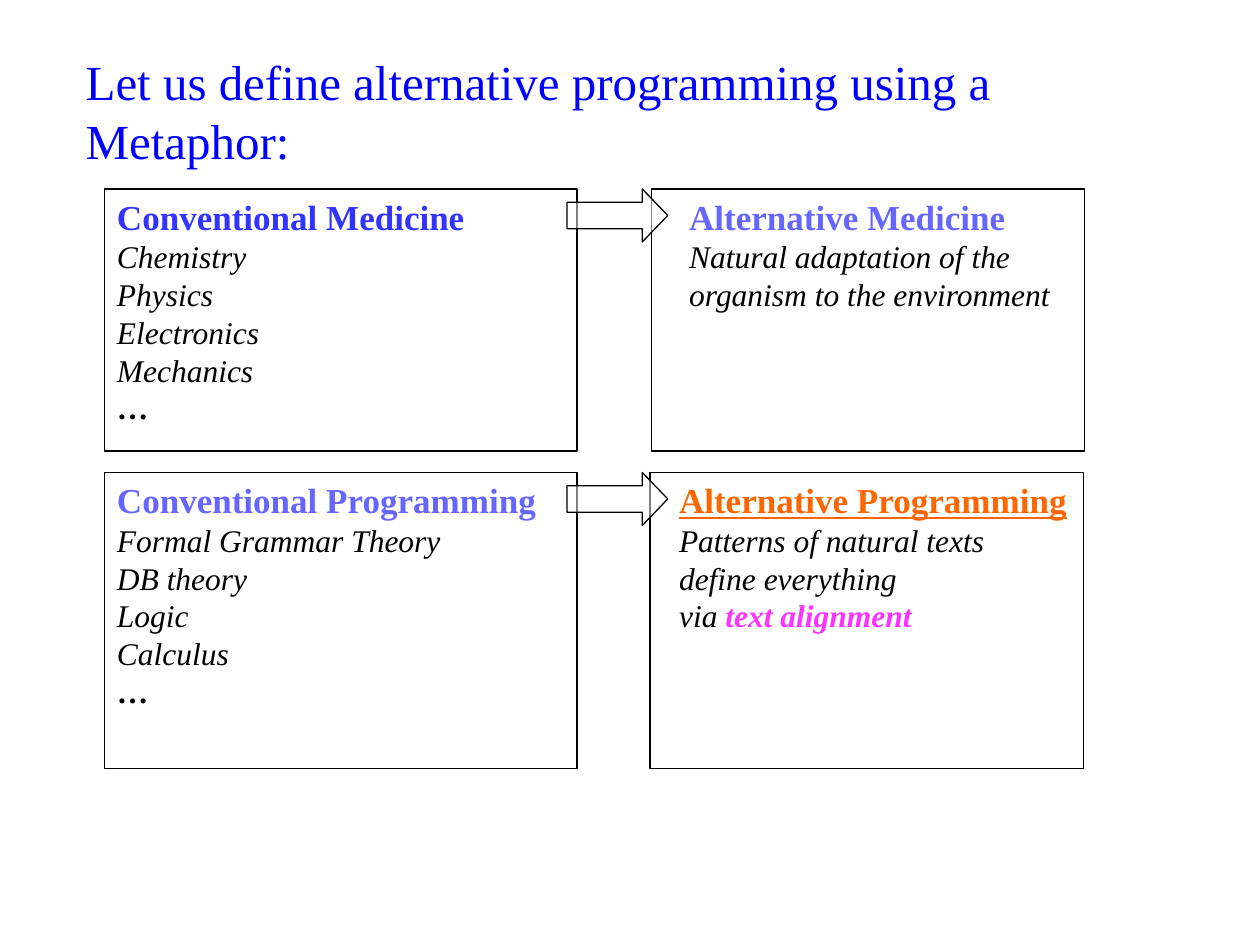
from lxml import etree
from pptx import Presentation
from pptx.dml.color import RGBColor
from pptx.enum.shapes import MSO_SHAPE
from pptx.enum.text import MSO_ANCHOR, MSO_AUTO_SIZE, PP_ALIGN
from pptx.oxml.ns import qn
from pptx.util import Inches, Pt

RECTANGLE, ARROW = MSO_SHAPE.RECTANGLE, MSO_SHAPE.RIGHT_ARROW
TOP, LEFT, NO_FIT = MSO_ANCHOR.TOP, PP_ALIGN.LEFT, MSO_AUTO_SIZE.NONE
FONT = "Times New Roman"
COLORS = {
    "title": "0000FF", "medicine": "3333FF", "violet": "6666FF",
    "orange": "FF6600", "pink": "FF33FF", "black": "000000", "white": "FFFFFF",
}
TITLE = "Let us define alternative programming using a Metaphor:"
BODY = {"size": 18, "italic": True}
ELLIPSIS = [("…", {"size": 18, "bold": True})]


def heading(text, color, underline=False):
    return [(text, {"size": 20, "bold": True, "color": color, "underline": underline})]


def body_lines(*lines):
    return [[(line, BODY)] for line in lines]


ROWS = [
    {"top": 1.5, "height": 2.08, "boxes": [
        {"left": 0.83, "width": 3.75, "inset": 0.1, "lines": [
            heading("Conventional Medicine", "medicine"),
            *body_lines("Chemistry", "Physics", "Electronics", "Mechanics"),
            ELLIPSIS]},
        {"left": 5.17, "width": 3.44, "inset": 0.3, "lines": [
            heading("Alternative Medicine", "violet"),
            *body_lines("Natural adaptation of the", "organism to the environment")]},
    ]},
    {"top": 3.75, "height": 2.35, "boxes": [
        {"left": 0.83, "width": 3.75, "inset": 0.1, "lines": [
            heading("Conventional Programming", "violet"),
            *body_lines("Formal Grammar Theory", "DB theory", "Logic", "Calculus"),
            ELLIPSIS]},
        {"left": 5.16, "width": 3.44, "inset": 0.23, "lines": [
            heading("Alternative Programming", "orange", underline=True),
            *body_lines("Patterns of natural texts", "define everything"),
            [("via ", BODY), ("text alignment", {**BODY, "bold": True, "color": "pink"})]]},
    ]},
]


def rgb(name):
    return RGBColor.from_string(COLORS[name])


def add_text(paragraph, text, size=18, color="black", bold=False, italic=False, underline=False):
    paragraph.alignment = LEFT
    run = paragraph.add_run()
    run.text = text
    font = run.font
    font.name, font.size = FONT, Pt(size)
    font.bold, font.italic, font.underline = bold, italic, underline
    font.color.rgb = rgb(color)


def set_frame(frame, left=0.1, top=0.05):
    frame.word_wrap = True
    frame.auto_size = NO_FIT
    frame.vertical_anchor = TOP
    frame.margin_left, frame.margin_top = Inches(left), Inches(top)
    frame.margin_right, frame.margin_bottom = Inches(0.1), Inches(0.05)


def add_outlined(slide, kind, left, top, width, height):
    shape = slide.shapes.add_shape(kind, *map(Inches, (left, top, width, height)))
    shape.shadow.inherit = False
    shape.fill.solid()
    shape.fill.fore_color.rgb = rgb("white")
    color = shape.fill._xPr.find(qn("a:solidFill"))[0]
    etree.SubElement(color, qn("a:alpha")).set("val", "50000")
    shape.line.color.rgb = rgb("black")
    shape.line.width = Pt(0.75)
    return shape


def add_box(slide, row, box):
    shape = add_outlined(slide, RECTANGLE, box["left"], row["top"], box["width"], row["height"])
    frame = shape.text_frame
    set_frame(frame, left=box["inset"])
    for index, runs in enumerate(box["lines"]):
        paragraph = frame.add_paragraph() if index else frame.paragraphs[0]
        for text, style in runs:
            add_text(paragraph, text, **style)


def main():
    """Build the slide that compares medicine with programming."""
    presentation = Presentation()
    presentation.slide_width, presentation.slide_height = Inches(10), Inches(7.5)
    slide = presentation.slides.add_slide(presentation.slide_layouts[5])
    title = slide.shapes.title
    title.left, title.top = Inches(0.58), Inches(0.25)
    title.width, title.height = Inches(8.25), Inches(1.67)
    set_frame(title.text_frame, top=0.16)
    add_text(title.text_frame.paragraphs[0], TITLE, size=28, color="title")
    for row in ROWS:
        for box in row["boxes"]:
            add_box(slide, row, box)
    for row in ROWS:
        arrow = add_outlined(slide, ARROW, 4.5, row["top"], 0.8, 0.42)
        arrow.adjustments[0], arrow.adjustments[1] = 0.5, 0.48
    presentation.save("out.pptx")


if __name__ == "__main__":
    main()
